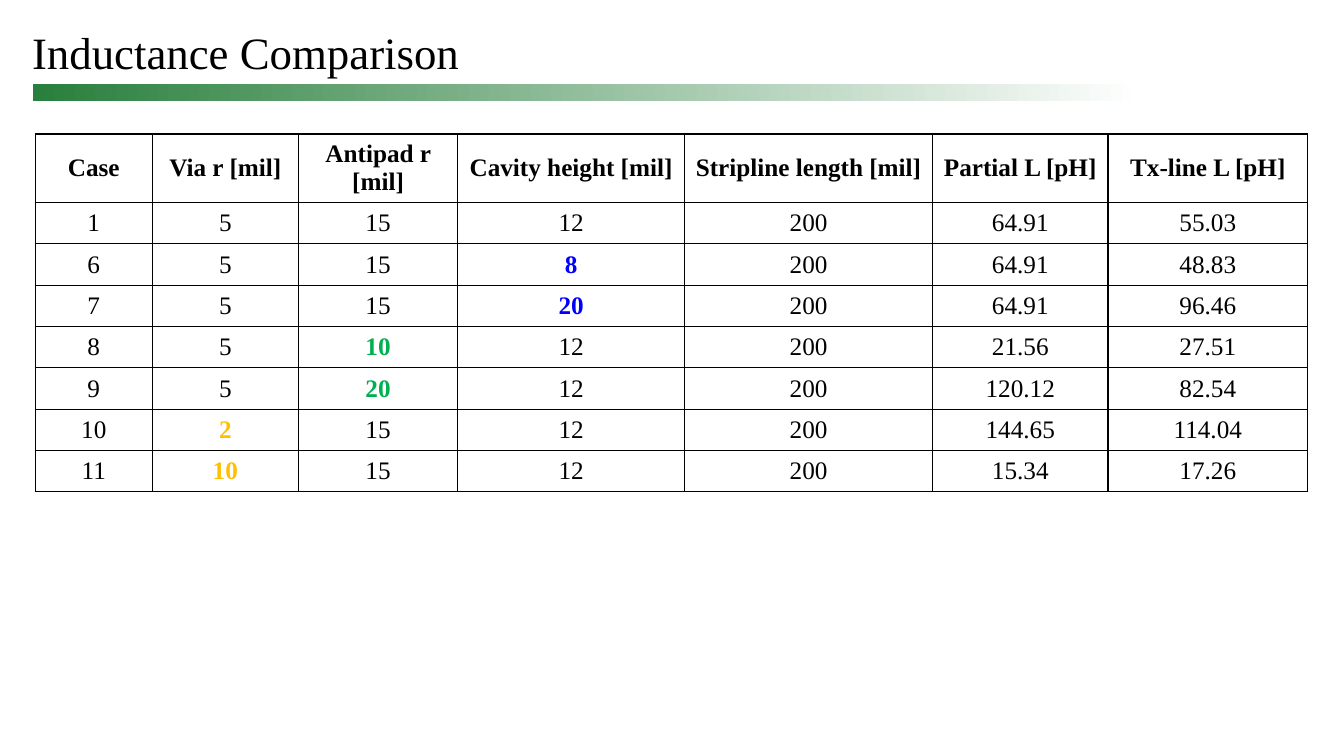
from lxml.etree import SubElement
from pptx import Presentation
from pptx.dml.color import RGBColor
from pptx.enum.shapes import MSO_SHAPE as Shape
from pptx.enum.text import MSO_ANCHOR as Anchor, PP_ALIGN as Align
from pptx.oxml.ns import qn
from pptx.util import Inches, Pt

FONT = "Times New Roman"
BLACK, WHITE, GREEN = "000000", "FFFFFF", "297F3D"
TITLE = "Inductance Comparison"
HEADERS = ["Case", "Via r [mil]", "Antipad r [mil]", "Cavity height [mil]",
           "Stripline length [mil]", "Partial L [pH]", "Tx-line L [pH]"]
CASES = [
    ["1", "5", "15", "12", "200", "64.91", "55.03"],
    ["6", "5", "15", "8", "200", "64.91", "48.83"],
    ["7", "5", "15", "20", "200", "64.91", "96.46"],
    ["8", "5", "10", "12", "200", "21.56", "27.51"],
    ["9", "5", "20", "12", "200", "120.12", "82.54"],
    ["10", "2", "15", "12", "200", "144.65", "114.04"],
    ["11", "10", "15", "12", "200", "15.34", "17.26"],
]
BASELINE = CASES[0]
# A parameter that differs from case 1 is shown bold in its column's colour
CHANGE_COLORS = {1: "FFC000", 2: "00B050", 3: "0000FF"}
COLUMN_WIDTHS = [1.16, 1.45, 1.58, 2.25, 2.46, 1.74, 1.98]
HEADER_HEIGHT, ROW_HEIGHT = 0.65, 0.41


def color(value):
    return RGBColor.from_string(value)


def add_run(para, text, size, text_color=BLACK, bold=False):
    span = para.add_run()
    span.text = text
    font = span.font
    font.name, font.size, font.bold = FONT, Pt(size), bold
    font.color.rgb = color(text_color)


def add_borders(cell):
    properties = cell._tc.get_or_add_tcPr()
    for side in ("lnL", "lnR", "lnT", "lnB"):
        line = SubElement(properties, qn(f"a:{side}"), w=str(Pt(1)))
        fill = SubElement(line, qn("a:solidFill"))
        SubElement(fill, qn("a:srgbClr"), val=BLACK)


def add_title(page):
    bar = page.shapes.add_shape(Shape.RECTANGLE, Inches(0.33), Inches(0.83),
                                Inches(11), Inches(0.17))
    bar.shadow.inherit = False
    bar.line.fill.background()
    bar.fill.gradient()
    bar.fill.gradient_angle = 0
    for stop, position, shade in zip(bar.fill.gradient_stops, (0, 1), (GREEN, WHITE)):
        stop.position = position
        stop.color.rgb = color(shade)

    box = page.shapes.add_textbox(Inches(0.22), 0, Inches(12), Inches(0.83))
    frame = box.text_frame
    frame.word_wrap = True
    frame.vertical_anchor = Anchor.BOTTOM
    add_run(frame.paragraphs[0], TITLE, 32)


def add_case_table(page):
    rows = [HEADERS] + CASES
    heights = [HEADER_HEIGHT] + [ROW_HEIGHT] * len(CASES)
    table = page.shapes.add_table(
        len(rows), len(HEADERS), Inches(0.35), Inches(1.33),
        Inches(sum(COLUMN_WIDTHS)), Inches(sum(heights))).table
    table.first_row = table.horz_banding = False
    for column, width in zip(table.columns, COLUMN_WIDTHS):
        column.width = Inches(width)
    for row, height, values in zip(table.rows, heights, rows):
        row.height = Inches(height)
        for index, (cell, value) in enumerate(zip(row.cells, values)):
            is_header = values is HEADERS
            changed = (not is_header and index in CHANGE_COLORS
                       and value != BASELINE[index])
            add_borders(cell)
            cell.fill.background()
            cell.vertical_anchor = Anchor.MIDDLE
            cell.margin_top = cell.margin_bottom = Inches(0.04)
            para = cell.text_frame.paragraphs[0]
            para.alignment = Align.CENTER
            add_run(para, value, 18, CHANGE_COLORS[index] if changed else BLACK,
                    is_header or changed)


def main():
    deck = Presentation()
    deck.slide_width, deck.slide_height = Inches(13.33), Inches(7.5)
    page = deck.slides.add_slide(deck.slide_layouts[6])
    add_title(page)
    add_case_table(page)
    deck.save("out.pptx")


if __name__ == "__main__":
    main()
